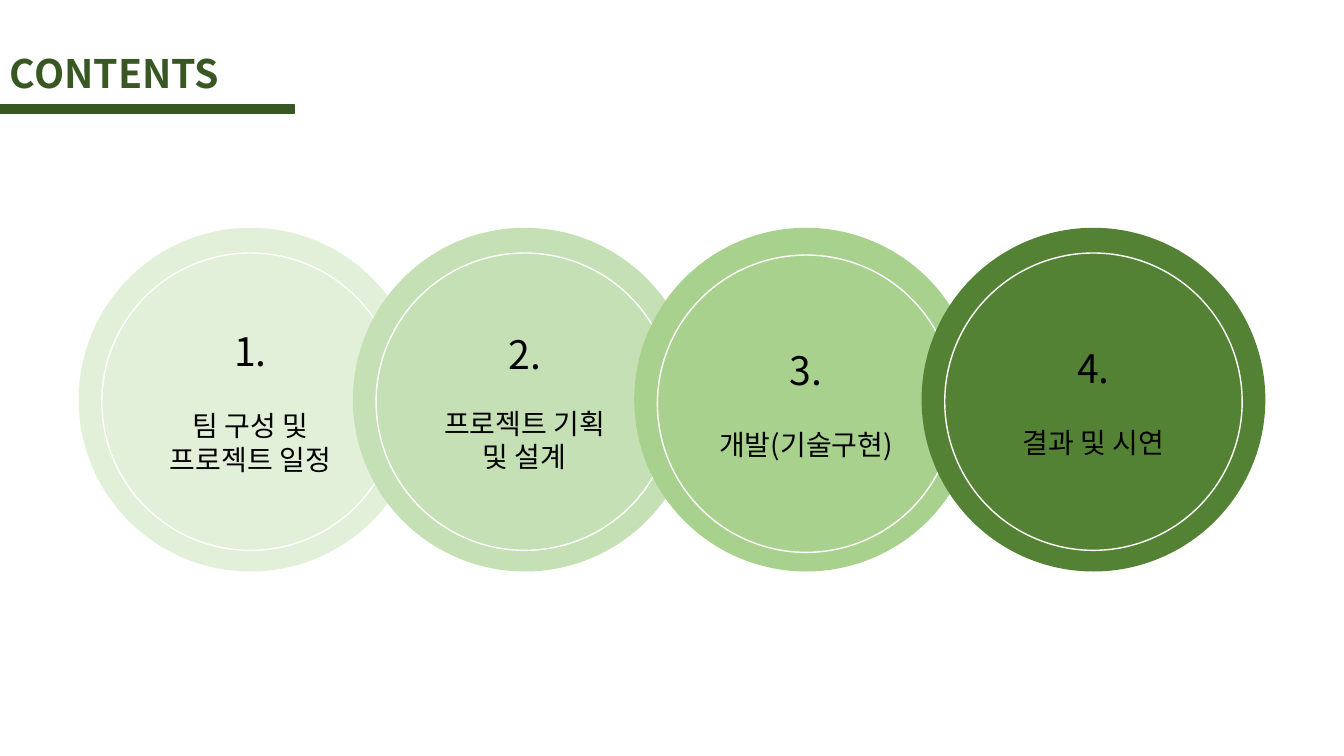
import pptx
import pptx.util
import pptx.dml.color
import pptx.enum.shapes
import pptx.enum.text
import pptx.oxml.ns
from lxml import etree

Inches = pptx.util.Inches
Pt = pptx.util.Pt
RGBColor = pptx.dml.color.RGBColor
MSO_SHAPE = pptx.enum.shapes.MSO_SHAPE
PP_ALIGN = pptx.enum.text.PP_ALIGN
MSO_ANCHOR = pptx.enum.text.MSO_ANCHOR

FONT = "Noto Sans CJK KR"
WHITE = RGBColor(0xFF, 0xFF, 0xFF)
BLACK = RGBColor(0x00, 0x00, 0x00)
DARK_GREEN = RGBColor(0x38, 0x57, 0x23)
GREEN_1 = RGBColor(0xE2, 0xF0, 0xD9)
GREEN_2 = RGBColor(0xC5, 0xE0, 0xB4)
GREEN_3 = RGBColor(0xA9, 0xD1, 0x8E)
GREEN_4 = RGBColor(0x54, 0x82, 0x35)


def write(paragraph, text, size=20, color=BLACK, bold=False,
          align=PP_ALIGN.CENTER, space_before=0):
    paragraph.alignment = align
    if space_before:
        paragraph.space_before = Pt(space_before)
    run = paragraph.add_run()
    run.text = text
    run.font.name = FONT
    run.font.size = Pt(size)
    run.font.bold = bold
    run.font.color.rgb = color
    # Korean letters take the East Asian typeface
    east_asian = etree.SubElement(run.font._element, pptx.oxml.ns.qn("a:ea"))
    east_asian.set("typeface", FONT)


def add_filled(kind, left, top, width, height, fill, line=None):
    shape = slide.shapes.add_shape(
        kind, Inches(left), Inches(top), Inches(width), Inches(height))
    shape.shadow.inherit = False
    shape.fill.solid()
    shape.fill.fore_color.rgb = fill
    if line is None:
        shape.line.fill.background()
    else:
        shape.line.color.rgb = line
        shape.line.width = Pt(1)
    return shape


presentation = pptx.Presentation()
presentation.slide_width = Inches(13.33)
presentation.slide_height = Inches(7.5)
slide = presentation.slides.add_slide(presentation.slide_layouts[6])

# Overlapping circles: left, ring inset from the top, gap under number, fill, lines
chapters = [
    (0.78, 0.25, 24, GREEN_1, ["팀 구성 및", "프로젝트 일정"]),
    (3.5, 0.25, 21, GREEN_2, ["프로젝트 기획", "및 설계"]),
    (6.29, 0.27, 24, GREEN_3, ["개발(기술구현)"]),
    (9.14, 0.25, 24, GREEN_4, ["결과 및 시연"]),
]
DISC_TOP, DISC_SIZE, RING_SIZE = 2.26, 3.41, 2.95
side_inset = (DISC_SIZE - RING_SIZE) / 2

for number, (left, top_inset, gap, fill, lines) in enumerate(chapters, start=1):
    add_filled(MSO_SHAPE.OVAL, left, DISC_TOP, DISC_SIZE, DISC_SIZE, fill)
    ring = add_filled(MSO_SHAPE.OVAL, left + side_inset, DISC_TOP + top_inset,
                      RING_SIZE, RING_SIZE, fill, line=WHITE)
    frame = ring.text_frame
    frame.word_wrap = True
    frame.vertical_anchor = MSO_ANCHOR.MIDDLE
    write(frame.paragraphs[0], f"{number}.", size=28)
    for index, line in enumerate(lines):
        write(frame.add_paragraph(), line, space_before=0 if index else gap)

# Heading with its underline bar
heading = slide.shapes.add_textbox(Inches(0), Inches(0.44), Inches(3.13), Inches(0.57))
heading.text_frame.word_wrap = True
write(heading.text_frame.paragraphs[0], "CONTENTS", size=28, color=DARK_GREEN,
      bold=True, align=PP_ALIGN.LEFT)
add_filled(MSO_SHAPE.RECTANGLE, 0, 1.04, 2.92, 0.08, DARK_GREEN, line=DARK_GREEN)

presentation.save("out.pptx")
